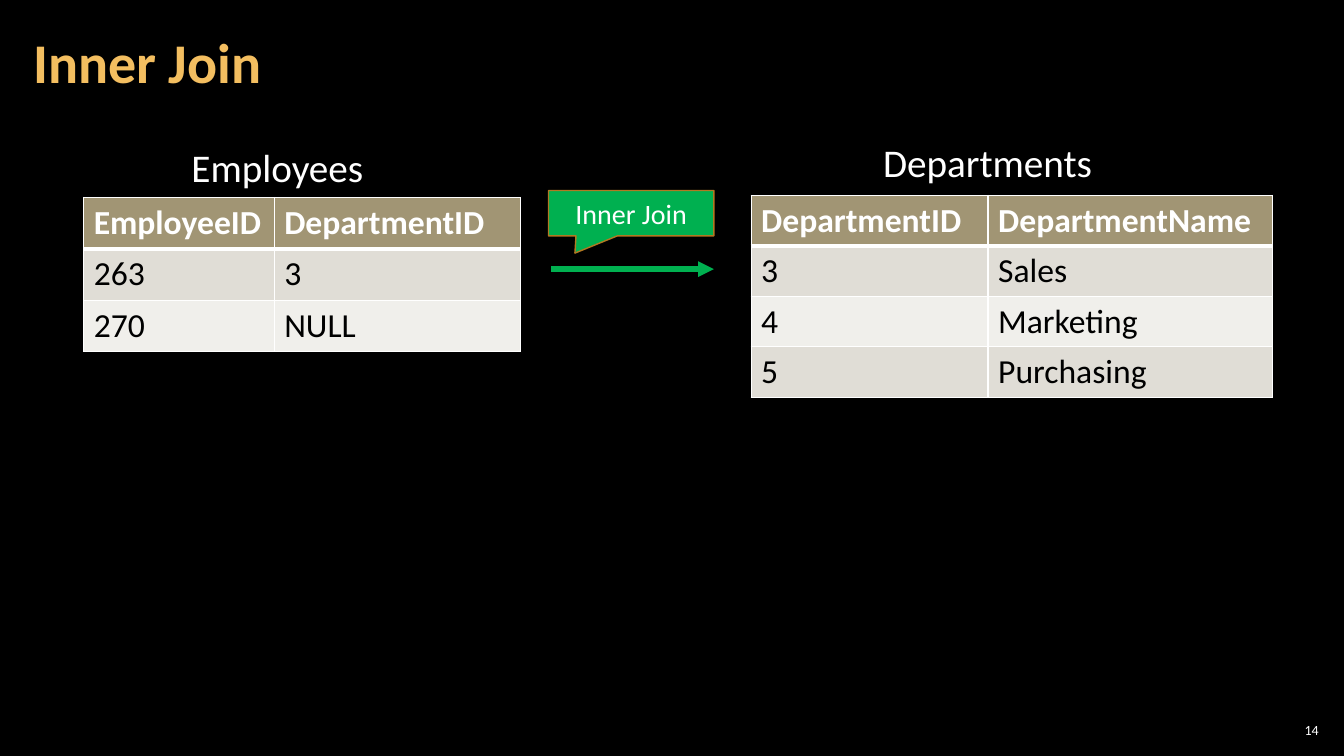
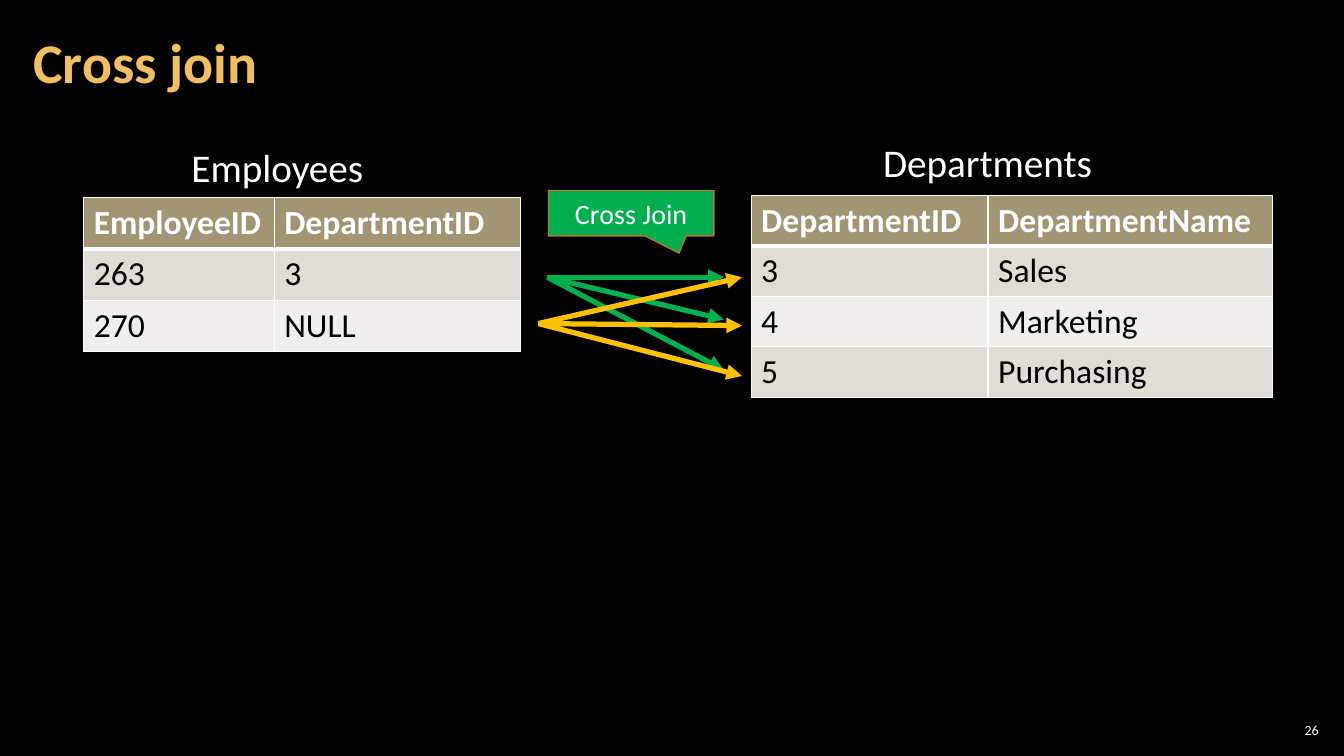
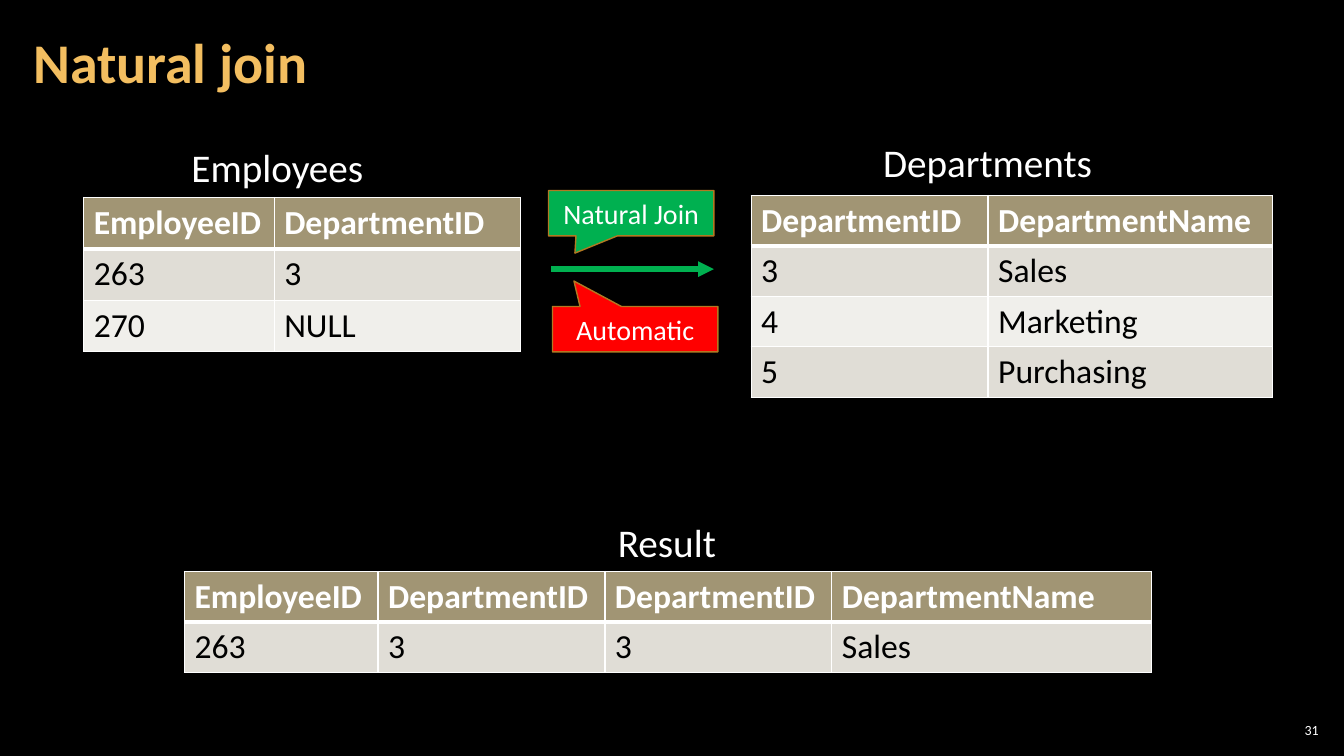
from lxml.etree import SubElement
from pptx import Presentation
from pptx.dml.color import RGBColor
from pptx.enum.shapes import MSO_CONNECTOR as Connector, MSO_SHAPE as Shape
from pptx.enum.text import MSO_ANCHOR as Anchor, MSO_AUTO_SIZE as AutoSize, PP_ALIGN as Align
from pptx.oxml.ns import qn
from pptx.util import Inches, Pt

# Shared look
FONT = "Calibri"
BLACK, WHITE = "000000", "FFFFFF"
TITLE_GOLD, GREEN, AMBER, RED = "F3BE60", "00B050", "FFC000", "FF0000"
CALLOUT_EDGE = "B27822"
HEADER_FILL, BAND_FILLS = "A19574", ("E0DDD6", "F0EFEB")

TITLE_STYLE = dict(size=Pt(40), bold=True, color=TITLE_GOLD)
CAPTION_STYLE = dict(size=Pt(28), color=WHITE)
CALLOUT_STYLE = dict(size=Pt(20), color=WHITE)
NUMBER_STYLE = dict(size=Pt(10), color=WHITE)
HEADER_STYLE = dict(size=Pt(24), bold=True, color=WHITE)
BODY_STYLE = dict(size=Pt(24), bold=False, color=BLACK)

# Tables and regions: left, top, width, height
EMPLOYEES = [("EmployeeID", "DepartmentID"), ("263", "3"), ("270", "NULL")]
DEPARTMENTS = [("DepartmentID", "DepartmentName"),
               ("3", "Sales"), ("4", "Marketing"), ("5", "Purchasing")]
RESULT = [EMPLOYEES[0] + DEPARTMENTS[0], ("263", "3", "3", "Sales")]
TITLE_BOX = (0.21, 0.04, 10.47, 1.21)
NUMBER_BOX = (12.65, 7.14, 0.47, 0.21)
JOIN_BOX = (5.44, 1.89, 1.64, 0.45)
AUTOMATIC_BOX = (5.48, 3.04, 1.64, 0.45)
TAIL_LEFT, TAIL_RIGHT, TAIL_UP = (-0.34, 0.88), (0.29, 0.88), (-0.37, -1.06)


def rgb(color):
    return RGBColor.from_string(color)


def inches(box):
    return [Inches(length) for length in box]


def write(frame, text, style, align=Align.LEFT):
    frame.text = text
    paragraph = frame.paragraphs[0]
    paragraph.alignment = align
    paragraph.font.name = FONT
    for name, value in style.items():
        if name == "color":
            paragraph.font.color.rgb = rgb(value)
        else:
            setattr(paragraph.font, name, value)
    return paragraph


def set_frame(frame, **settings):
    for name, value in settings.items():
        setattr(frame, name, value)


def add_title(slide, text):
    title = slide.shapes.title
    title.left, title.top, title.width, title.height = inches(TITLE_BOX)
    set_frame(title.text_frame, auto_size=AutoSize.NONE, vertical_anchor=Anchor.MIDDLE,
              margin_left=Inches(0.12), margin_right=Inches(0.12),
              margin_top=Inches(0.04), margin_bottom=Inches(0.04))
    write(title.text_frame, text, TITLE_STYLE).line_spacing = 0.9


def add_number(slide, number):
    frame = slide.shapes.add_textbox(*inches(NUMBER_BOX)).text_frame
    margin = Inches(0.04)
    set_frame(frame, word_wrap=True, vertical_anchor=Anchor.MIDDLE, margin_left=margin,
              margin_right=margin, margin_top=margin, margin_bottom=margin)
    write(frame, str(number), NUMBER_STYLE, Align.RIGHT)


def set_borders(cell, top, bottom):
    """Draw white cell borders; widths are in points."""
    properties = cell._tc.get_or_add_tcPr()
    for side, width in (("L", 1), ("R", 1), ("T", top), ("B", bottom)):
        line = SubElement(properties, qn(f"a:ln{side}"), w=str(Pt(width)))
        SubElement(SubElement(line, qn("a:solidFill")), qn("a:srgbClr"), val=WHITE)


def add_data_table(slide, left, top, widths, row_height, rows):
    table = slide.shapes.add_table(
        len(rows), len(widths),
        *inches((left, top, sum(widths), row_height * len(rows)))).table
    table.horz_banding = False
    for column, width in zip(table.columns, widths):
        column.width = Inches(width)
    for index, values in enumerate(rows):
        table.rows[index].height = Inches(row_height)
        header = index == 0
        fill = HEADER_FILL if header else BAND_FILLS[(index - 1) % 2]
        for cell, value in zip(table.rows[index].cells, values):
            set_borders(cell, top=3 if index == 1 else 1, bottom=3 if header else 1)
            cell.fill.solid()
            cell.fill.fore_color.rgb = rgb(fill)
            write(cell.text_frame, value, HEADER_STYLE if header else BODY_STYLE)


def add_caption(slide, left, top, width, text):
    frame = slide.shapes.add_textbox(*inches((left, top, width, 0.57))).text_frame
    set_frame(frame, word_wrap=False, auto_size=AutoSize.SHAPE_TO_FIT_TEXT)
    write(frame, text, CAPTION_STYLE)


def add_callout(slide, box, text, fill, tail):
    shape = slide.shapes.add_shape(Shape.RECTANGULAR_CALLOUT, *inches(box))
    shape.shadow.inherit = False
    shape.fill.solid()
    shape.fill.fore_color.rgb = rgb(fill)
    shape.line.color.rgb = rgb(CALLOUT_EDGE)
    shape.line.width = Pt(1)
    for index, value in enumerate(tail):
        shape.adjustments[index] = value
    set_frame(shape.text_frame, word_wrap=True, vertical_anchor=Anchor.MIDDLE)
    write(shape.text_frame, text, CALLOUT_STYLE, Align.CENTER)


def add_arrow(slide, start, end, color):
    arrow = slide.shapes.add_connector(Connector.STRAIGHT, *inches(start + end))
    arrow.line.color.rgb = rgb(color)
    arrow.line.width = Pt(3.75)
    SubElement(arrow.line._get_or_add_ln(), qn("a:tailEnd"), type="triangle")
    SubElement(arrow._element.spPr, qn("a:effectLst"))


def add_fan(slide, start, end_x, end_ys, color):
    """Join one row to every row of the other table."""
    for end_y in end_ys:
        add_arrow(slide, start, (end_x, end_y), color)


def add_join_slide(presentation, title, number, join, tail=TAIL_LEFT):
    """Title, number, both source tables and the join callout."""
    slide = presentation.slides.add_slide(presentation.slide_layouts[5])
    add_title(slide, title)
    add_number(slide, number)
    add_data_table(slide, 0.83, 1.96, (1.89, 2.44), 0.51, EMPLOYEES)
    add_caption(slide, 1.8, 1.37, 1.92, "Employees")
    add_data_table(slide, 7.45, 1.94, (2.35, 2.82), 0.5, DEPARTMENTS)
    add_caption(slide, 8.66, 1.32, 2.3, "Departments")
    add_callout(slide, JOIN_BOX, join, GREEN, tail)
    return slide


def add_single_arrow(slide):
    add_arrow(slide, (5.47, 2.67), (7.08, 2.67), GREEN)


def main():
    presentation = Presentation()
    presentation.slide_width, presentation.slide_height = Inches(13.33), Inches(7.5)
    background = presentation.slide_master.background.fill
    background.solid()
    background.fore_color.rgb = rgb(BLACK)

    # Inner join
    add_single_arrow(add_join_slide(presentation, "Inner Join", 14, "Inner Join"))

    # Cross join: each employee meets each department
    cross = add_join_slide(presentation, "Cross join", 26, "Cross Join", TAIL_RIGHT)
    add_fan(cross, (5.43, 2.75), 7.18, (2.75, 3.17, 3.67), GREEN)
    add_fan(cross, (5.34, 3.21), 7.36, (2.75, 3.23, 3.73), AMBER)

    # Natural join with its result
    natural = add_join_slide(presentation, "Natural join", 31, "Natural Join")
    add_single_arrow(natural)
    add_callout(natural, AUTOMATIC_BOX, "Automatic", RED, TAIL_UP)
    add_caption(natural, 6.03, 5.09, 1.19, "Result")
    add_data_table(natural, 1.83, 5.67, (1.92, 2.25, 2.25, 3.17), 0.5, RESULT)

    presentation.save("out.pptx")


if __name__ == "__main__":
    main()
